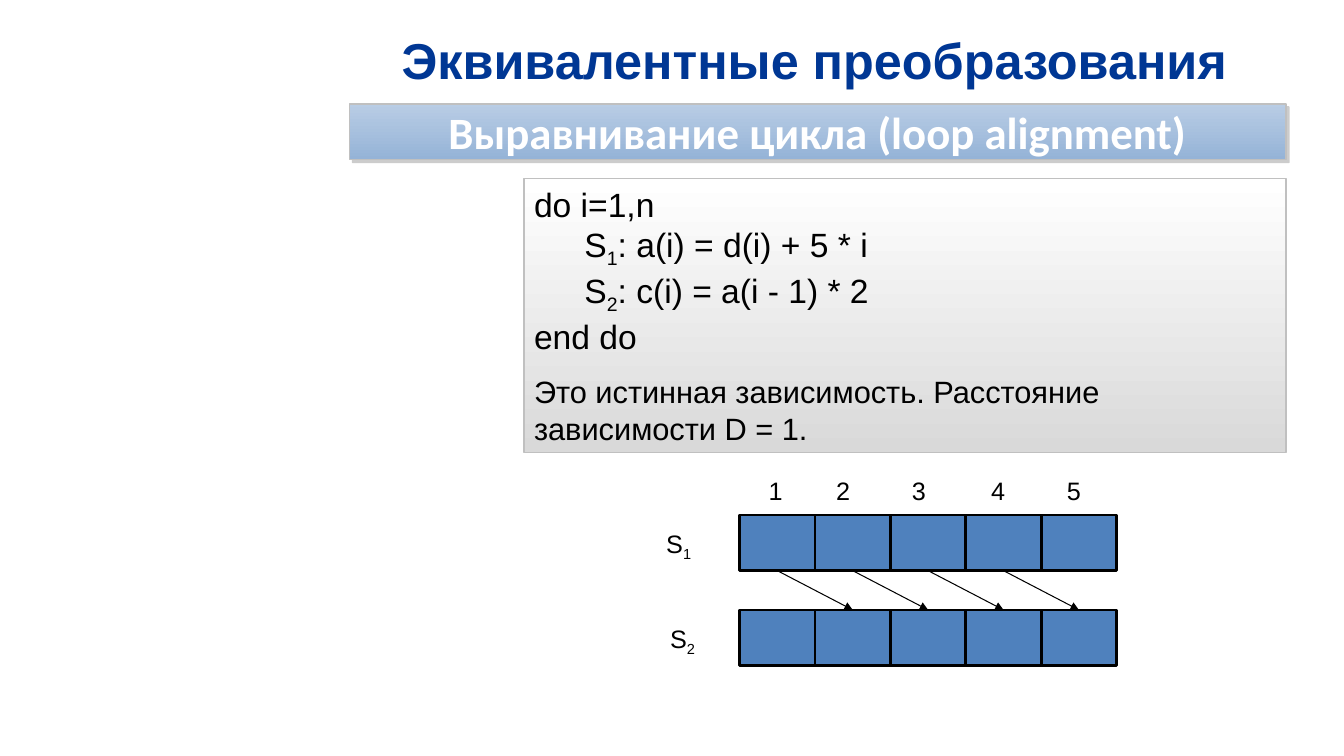
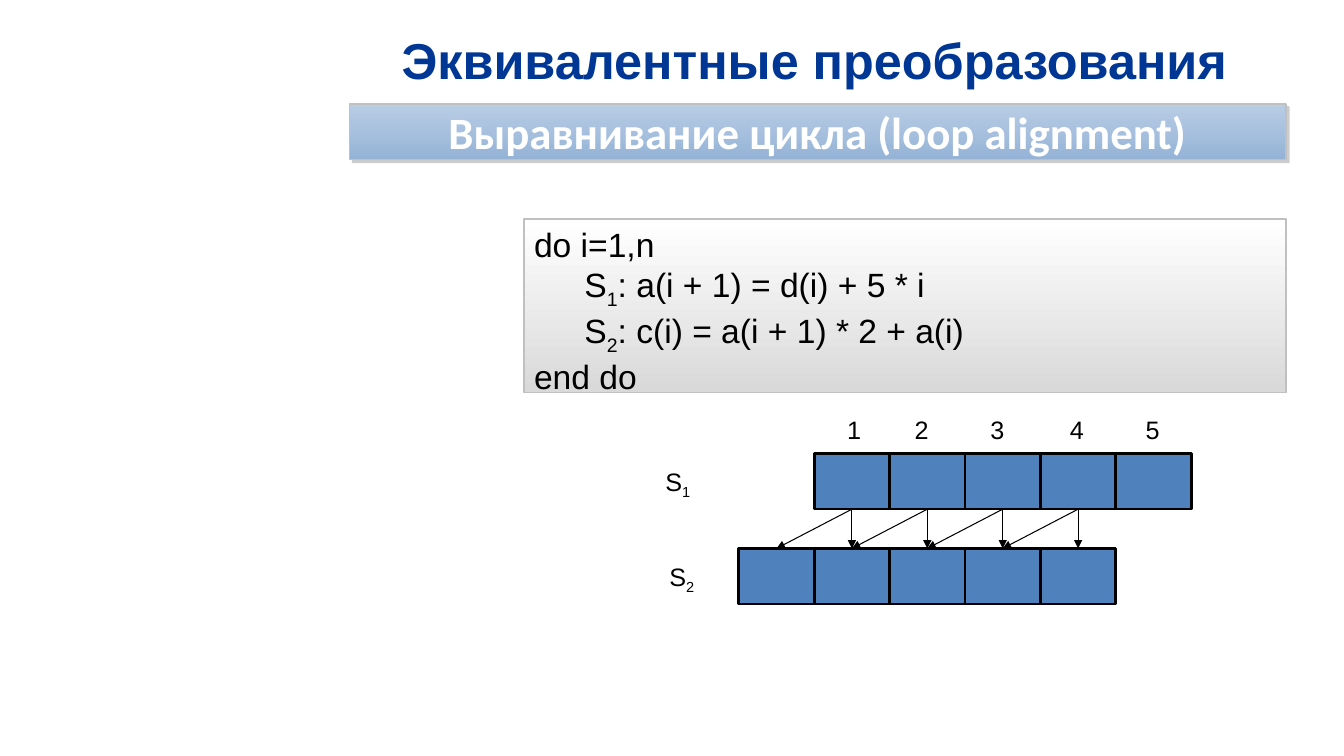
from lxml import etree
from pptx import Presentation, util as u
from pptx.dml.color import RGBColor
from pptx.enum import shapes, text
from pptx.oxml.ns import qn

Cm, Pt = u.Cm, u.Pt

# Shared colours and text formats
BLACK, GREY_LINE, CELL_BLUE = "000000", "C0C0C0", "4F81BD"
BAND_FILL = ("B9CDE5", "95B3D7")
CODE_FILL = ("FFFFFF", "D9D9D9")
FORMATS = {
    "title": ({"name": "Arial", "size": Pt(36), "bold": True}, "003794"),
    "band": ({"name": "Calibri", "size": Pt(32), "bold": True}, "FFFFFF"),
    "code": ({"name": "Arial", "size": Pt(24)}, BLACK),
    "remark": ({"name": "Arial", "size": Pt(22)}, BLACK),
    "label": ({"name": "Arial", "size": Pt(18)}, BLACK),
}

# Diagram grid, in cm
CELL_W, CELL_H, ROW_STEP, CELL_COUNT = 1.9, 1.4, 2.39, 5
NUMBER_OFFSETS = (0, 1.7, 3.61, 5.61, 7.52)


def rgb(value):
    return RGBColor.from_string(value)


def write(paragraph, parts, style, align=text.PP_ALIGN.LEFT):
    """Write parts as runs; every second part is a subscript."""
    paragraph.alignment = align
    values, colour = FORMATS[style]
    for index, part in enumerate(parts):
        run = paragraph.add_run()
        run.text = part
        for name, value in values.items():
            setattr(run.font, name, value)
        run.font.color.rgb = rgb(colour)
        if index % 2:
            run.font._element.set("baseline", "-25000")


def add_label(slide, box, parts, style="label", **layout):
    label = slide.shapes.add_textbox(*map(Cm, box))
    frame = label.text_frame
    frame.word_wrap = True
    if style == "title":
        frame.vertical_anchor = text.MSO_ANCHOR.MIDDLE
    write(frame.paragraphs[0], parts, style, **layout)


def add_box(slide, box, fill, line, width):
    """Add a rectangle; a pair of colours makes a top-down gradient."""
    panel = slide.shapes.add_shape(shapes.MSO_SHAPE.RECTANGLE, *map(Cm, box))
    panel.shadow.inherit = False
    if isinstance(fill, tuple):
        panel.fill.gradient()
        panel.fill.gradient_angle = 270
        for stop, colour in zip(panel.fill.gradient_stops, fill):
            stop.color.rgb = rgb(colour)
    else:
        panel.fill.solid()
        panel.fill.fore_color.rgb = rgb(fill)
    panel.line.color.rgb = rgb(line)
    panel.line.width = Pt(width)
    return panel


def add_arrow(slide, start, end):
    arrow = slide.shapes.add_connector(
        shapes.MSO_CONNECTOR.STRAIGHT, *map(Cm, start + end))
    arrow.line.color.rgb = rgb(BLACK)
    arrow.line.width = Pt(0.75)
    properties = arrow._element.spPr
    etree.SubElement(properties.find(qn("a:ln")), qn("a:tailEnd"), type="triangle")
    etree.SubElement(properties, qn("a:effectLst"))


def add_shadow(panel):
    effects = panel._element.spPr.find(qn("a:effectLst"))
    shadow = etree.SubElement(effects, qn("a:outerShdw"), blurRad="0",
                              dist=str(Pt(3)), dir="2700000", algn="tl")
    colour = etree.SubElement(shadow, qn("a:srgbClr"), val="808080")
    etree.SubElement(colour, qn("a:alpha"), val="40000")


def add_header(slide):
    """Title and topic band, the same on each slide."""
    centre = text.PP_ALIGN.CENTER
    add_label(slide, (8.13, 0.3, 24.79, 2.41), ["Эквивалентные преобразования"],
              "title", align=centre)
    band = add_box(slide, (8.81, 2.62, 23.6, 1.4), BAND_FILL, GREY_LINE, 1)
    add_shadow(band)
    frame = band.text_frame
    margins = {"margin_left": 0.6, "margin_right": 0.6,
               "margin_top": 0.1, "margin_bottom": 0.1}
    for name, value in margins.items():
        setattr(frame, name, Cm(value))
    frame.word_wrap = True
    frame.vertical_anchor = text.MSO_ANCHOR.MIDDLE
    write(frame.paragraphs[0], ["Выравнивание цикла (loop alignment)"],
          "band", align=centre)


def add_code(slide, top, height, statements, remark=None):
    """Loop listing with numbered statements and an optional remark."""
    listing = add_box(slide, (13.21, top, 19.2, height), CODE_FILL, GREY_LINE, 1)
    frame = listing.text_frame
    frame.word_wrap = True
    frame.vertical_anchor = text.MSO_ANCHOR.TOP
    write(frame.paragraphs[0], ["do i=1,n"], "code")
    for number, statement in enumerate(statements, 1):
        line = frame.add_paragraph()
        write(line, ["S", str(number), ": " + statement], "code")
        line._p.get_or_add_pPr().set("marL", str(Cm(1.27)))
    write(frame.add_paragraph(), ["end do"], "code")
    if remark:
        note = frame.add_paragraph()
        note.space_before = Pt(12)
        write(note, [remark], "remark")


def add_dependences(slide, left, top, shift, numbers_left, distances):
    """Two rows of iterations; S1 is moved right by `shift` cells."""
    row_lefts = (left + shift * CELL_W, left)
    for row, row_left in enumerate(row_lefts):
        row_top = top + row * ROW_STEP
        for column in range(CELL_COUNT):
            add_box(slide, (row_left + column * CELL_W, row_top, CELL_W, CELL_H),
                    CELL_BLUE, BLACK, 2)
        add_label(slide, (left - 2.1 + row * 0.1, row_top + 0.2, 1.5, 1.02),
                  ["S", str(row + 1)])
    for number, offset in enumerate(NUMBER_OFFSETS, 1):
        add_label(slide, (numbers_left + offset, top - 1.12, 1.2, 1.02),
                  [str(number)])
    # Arrows join the centres of dependent iterations
    for distance in distances:
        for column in range(CELL_COUNT - 1):
            source = row_lefts[0] + (column + 0.5) * CELL_W
            target = row_lefts[1] + (column + distance + 0.5) * CELL_W
            add_arrow(slide, (source, top + CELL_H), (target, top + ROW_STEP))


def main():
    deck = Presentation()
    deck.slide_width, deck.slide_height = Cm(33.87), Cm(19.05)
    before, after = (deck.slides.add_slide(deck.slide_layouts[6]) for _ in range(2))

    # Loop before alignment
    add_code(before, 4.5, 6.91, ["a(i) = d(i) + 5 * i", "c(i) = a(i - 1) * 2"],
             "Это истинная зависимость. Расстояние зависимости D = 1.")
    add_dependences(before, 18.64, 12.98, 0, 19.12, [1])
    add_header(before)

    # Loop after alignment
    add_code(after, 5.52, 4.37,
             ["a(i + 1) = d(i) + 5 * i", "c(i) = a(i + 1) * 2 + a(i)"])
    add_dependences(after, 18.62, 11.43, 1, 21.1, [1, 0])
    add_header(after)

    deck.save("out.pptx")


if __name__ == "__main__":
    main()
